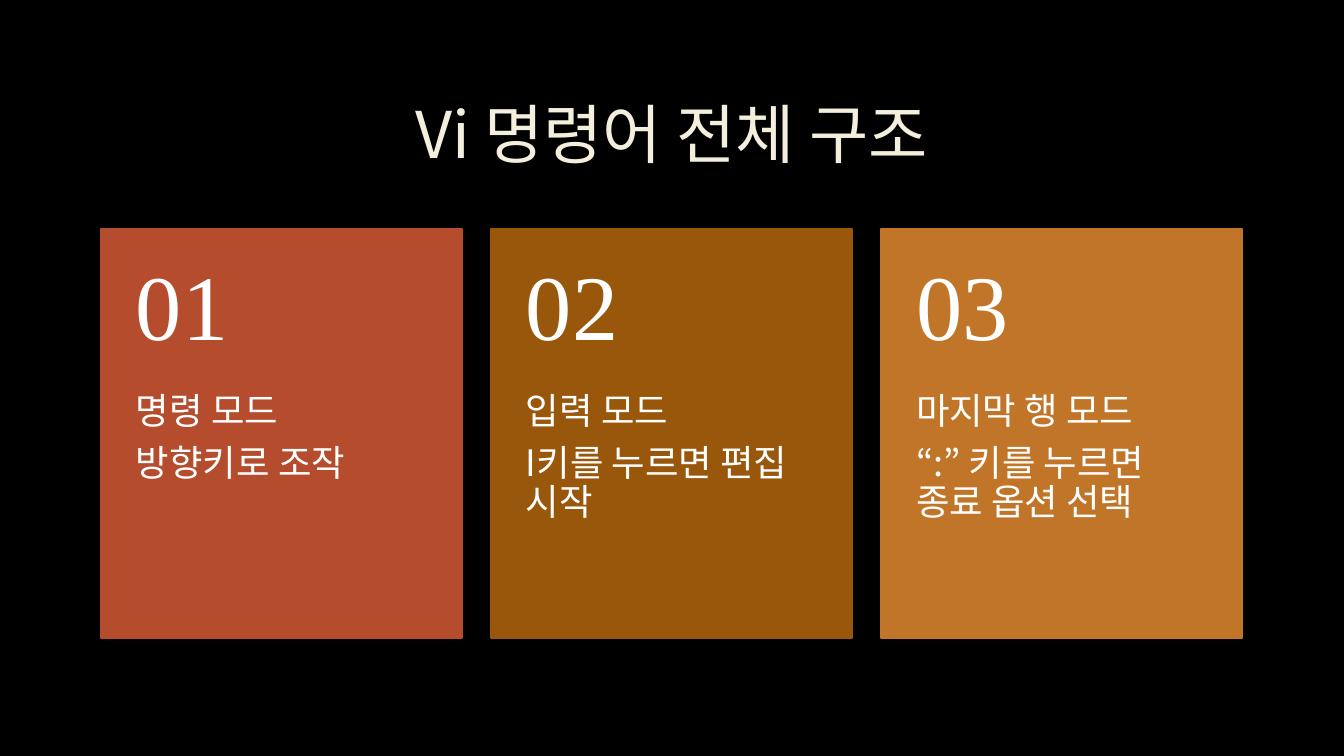
from lxml import etree
from pptx import Presentation
from pptx import util as u
from pptx.dml.color import RGBColor
from pptx.enum import shapes, text
from pptx.oxml.ns import qn

PX = 12192000 / 1344
KOREAN = "Noto Sans CJK KR"
SERIF = "Times New Roman"
CARDS = [
    ("B54C2D", "01", ["명령 모드", "방향키로 조작"]),
    ("99570C", "02", ["입력 모드", "I키를 누르면 편집 시작"]),
    ("C17529", "03", ["마지막 행 모드", "“:” 키를 누르면 종료 옵션 선택"]),
]


def px(length):
    """Turn pixels into EMU."""
    return u.Emu(round(length * PX))


def color(hex_string):
    """Turn a hex string into a colour."""
    return RGBColor.from_string(hex_string)


def apply(target, formats):
    """Set every attribute named in the formats."""
    for name, value in formats.items():
        setattr(target, name, value)


def write(parent, box, lines, size, font, ink, frame_format, paragraph_format):
    """Place a text box with one paragraph per line and return its runs."""
    frame = parent.add_textbox(*map(px, box)).text_frame
    apply(frame, {"word_wrap": True, **frame_format})
    runs = []
    for index, line in enumerate(lines):
        paragraph = frame.add_paragraph() if index else frame.paragraphs[0]
        apply(paragraph, {"line_spacing": 0.9, **paragraph_format})
        run = paragraph.add_run()
        run.text = line
        apply(run.font, {"size": u.Pt(size), "name": font})
        run.font.color.rgb = color(ink)
        east_asian = etree.Element(qn("a:ea"), typeface=font)
        run.font._element.find(qn("a:latin")).addnext(east_asian)
        runs.append(run)
    return runs


def add_title(parent, box, title):
    """Write the centred title with its faint outline."""
    run, = write(parent, box, [title], 46, KOREAN, "F4EEDC",
                 {"vertical_anchor": text.MSO_ANCHOR.MIDDLE},
                 {"alignment": text.PP_ALIGN.CENTER})
    outline = etree.Element(qn("a:ln"), w=str(u.Pt(0.75)))
    fill = etree.SubElement(outline, qn("a:solidFill"))
    tint = etree.SubElement(fill, qn("a:srgbClr"), val="404040")
    etree.SubElement(tint, qn("a:alpha"), val="10000")
    run.font._element.insert(0, outline)


def add_card(parent, box, tone, number, lines):
    """Draw a coloured card with its number above its description."""
    left, top, width, height = box
    panel = parent.add_shape(shapes.MSO_SHAPE.RECTANGLE, *map(px, box))
    panel.shadow.inherit = False
    panel.fill.solid()
    panel.fill.fore_color.rgb = color(tone)
    panel.line.color.rgb = color(tone)
    panel.line.width = u.Pt(1.25)

    number_height = 164
    sides = {"margin_left": px(35), "margin_right": px(35)}
    write(parent, (left, top + number_height, width, height - number_height),
          lines, 26, KOREAN, "FFFFFF",
          {**sides, "margin_top": 0, "margin_bottom": px(36)},
          {"space_after": u.Pt(9.1)})
    write(parent, (left, top, width, number_height),
          [number], 66, SERIF, "FFFFFF",
          {**sides, "margin_top": px(18), "margin_bottom": px(18),
           "vertical_anchor": text.MSO_ANCHOR.MIDDLE},
          {"space_after": u.Pt(23.1)})


def add_cards(parent, box, gap):
    """Spread the cards evenly over the box."""
    left, top, width, height = box
    card_width = (width - gap * (len(CARDS) - 1)) / len(CARDS)
    for index, card in enumerate(CARDS):
        card_left = left + index * (card_width + gap)
        add_card(parent, (card_left, top, card_width, height), *card)


def main():
    """Build the slide and save it."""
    deck = Presentation()
    apply(deck, {"slide_width": px(1344), "slide_height": px(756)})
    slide = deck.slides.add_slide(deck.slide_layouts[6])
    slide.background.fill.solid()
    slide.background.fill.fore_color.rgb = color("000000")
    add_title(slide.shapes, (101, 68, 1141, 139), "Vi 명령어 전체 구조")
    add_cards(slide.shapes.add_group_shape().shapes, (101, 229, 1141, 409), 29)
    deck.save("out.pptx")


if __name__ == "__main__":
    main()
